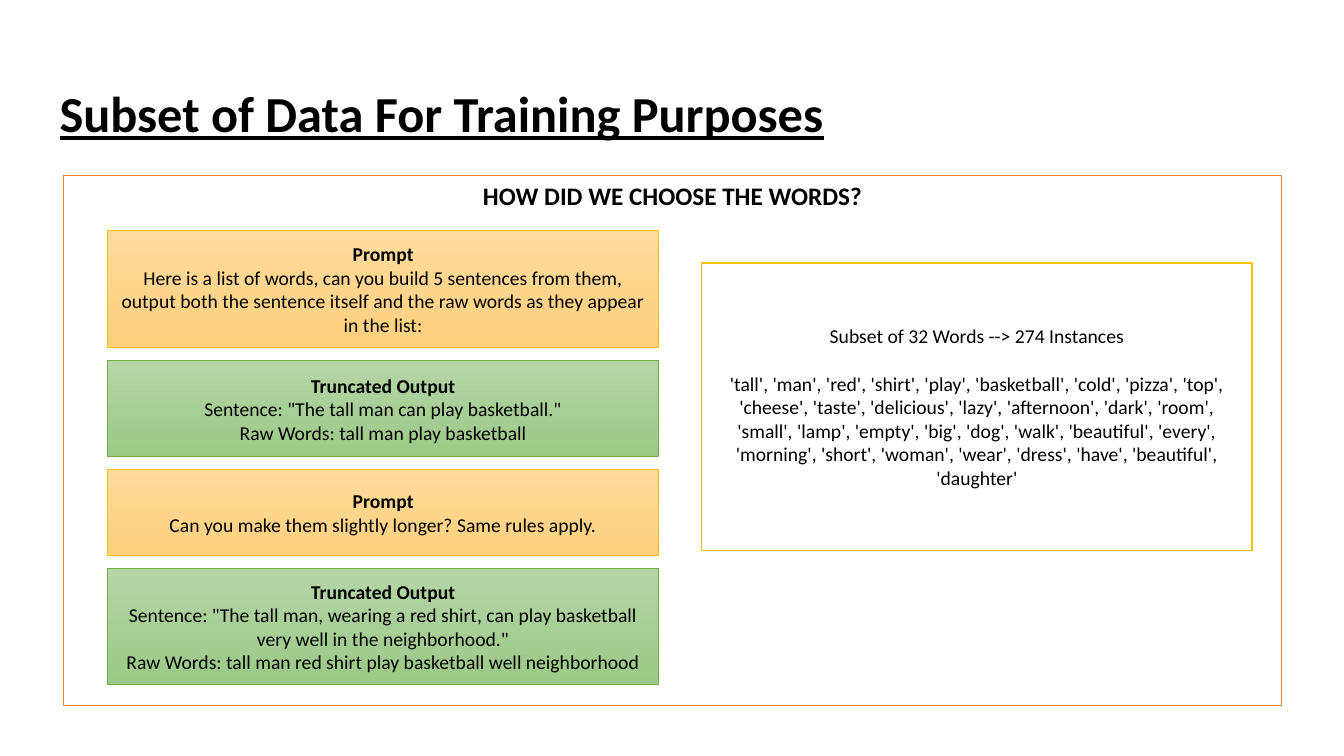
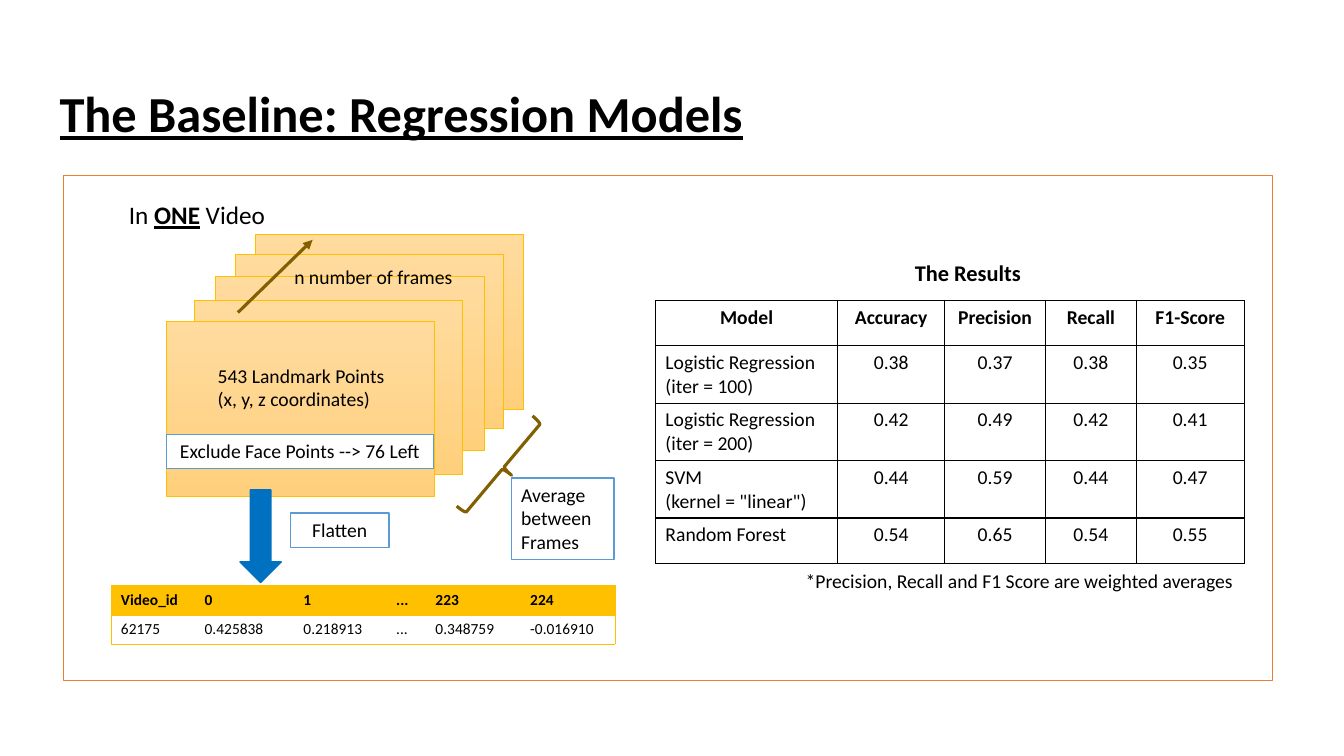
from lxml import etree
from pptx import Presentation, util as u
from pptx.dml.color import RGBColor
from pptx.enum import shapes, text
from pptx.oxml.ns import qn

FONT = "Calibri"
BLACK, WHITE, ORANGE, GOLD = "000000", "FFFFFF", "ED7D31", "FFC000"
BLUE, SKY, BROWN, GREEN = "0070C0", "5B9BD5", "806000", "70AD47"
AMBER_FADE = ("FFDB9E", "FFD07C")
GREEN_FADE = ("B5D5A7", "9CC987")
LEFT, CENTER, RIGHT = text.PP_ALIGN.LEFT, text.PP_ALIGN.CENTER, text.PP_ALIGN.RIGHT
TOP, MIDDLE = text.MSO_ANCHOR.TOP, text.MSO_ANCHOR.MIDDLE
FORMS = shapes.MSO_SHAPE

SUBSET_TITLE = "Subset of Data For Training Purposes"
QUESTION = "HOW DID WE CHOOSE THE WORDS?"
CARDS = [
    (1.16, ["Prompt", "Here is a list of words, can you build 5 sentences from them, "
            "output both the sentence itself and the raw words as they appear in the list:"]),
    (0.95, ["Truncated Output", 'Sentence: "The tall man can play basketball."',
            "Raw Words: tall man play basketball"]),
    (0.85, ["Prompt", "Can you make them slightly longer? Same rules apply."]),
    (1.15, ["Truncated Output", 'Sentence: "The tall man, wearing a red shirt, can play '
            'basketball very well in the neighborhood."',
            "Raw Words: tall man red shirt play basketball well neighborhood"]),
]
CARD_LEFT, CARD_TOP, CARD_WIDTH, CARD_GAP = 1.07, 2.29, 5.46, 0.13
CARD_STYLES = {"Prompt": (AMBER_FADE, GOLD), "Truncated Output": (GREEN_FADE, GREEN)}
WORDS = ("tall man red shirt play basketball cold pizza top cheese taste delicious lazy "
         "afternoon dark room small lamp empty big dog walk beautiful every morning short "
         "woman wear dress have beautiful daughter").split()

BASELINE_TITLE = "The Baseline: Regression Models"
FRAME_CORNERS = [(2.53, 2.33), (2.33, 2.52), (2.14, 2.74), (1.93, 2.98), (1.65, 3.19)]
FRAME_SIZE = (2.66, 1.73)
FLAT_COLUMNS = [0.83, 0.98, 0.92, 0.39, 0.94, 0.94]
FLAT_HEIGHTS = [0.29] * 2
FLAT_ROWS = [
    ("Video_id", "0", "1", "...", "223", "224"),
    ("62175", "0.425838", "0.218913", "...", "0.348759", "-0.016910"),
]
SCORE_COLUMNS = [1.81, 1.06, 1, 0.9, 1.07]
SCORE_HEIGHTS = [0.45, 0.57, 0.57, 0.57, 0.45]
SCORE_ROWS = [
    ("Model", "Accuracy", "Precision", "Recall", "F1-Score"),
    ("Logistic Regression (iter = 100)", "0.38", "0.37", "0.38", "0.35"),
    ("Logistic Regression (iter = 200)", "0.42", "0.49", "0.42", "0.41"),
    ('SVM\n(kernel = "linear")', "0.44", "0.59", "0.44", "0.47"),
    ("Random Forest", "0.54", "0.65", "0.54", "0.55"),
]


def color(code):
    return RGBColor.from_string(code)


def inches(*lengths):
    return [u.Inches(length) for length in lengths]


def style(paragraph, size, align=LEFT, bold=False):
    paragraph.alignment = align
    font = paragraph.font
    font.name, font.size, font.bold = FONT, u.Pt(size), bold
    font.color.rgb = color(BLACK)


def write(frame, lines, size=14, align=LEFT, anchor=TOP, bold=False, heading=False):
    frame.word_wrap = True
    frame.vertical_anchor = anchor
    frame.text = "\n".join(lines)
    for index, paragraph in enumerate(frame.paragraphs):
        style(paragraph, size, align, bold or (heading and index == 0))


def label(slide, box, words, **look):
    frame = slide.shapes.add_textbox(*inches(*box)).text_frame
    write(frame, [words], **look)
    return frame


def block(slide, box, fill=WHITE, line=ORANGE, width=1, form=FORMS.RECTANGLE):
    shape = slide.shapes.add_shape(form, *inches(*box))
    shape.shadow.inherit = False
    shape.line.color.rgb = color(line)
    shape.line.width = u.Pt(width)
    if fill is None:
        shape.fill.background()
    elif isinstance(fill, tuple):
        shape.fill.gradient()
        shape.fill.gradient_angle = 270
        for stop, code in zip(shape.fill.gradient_stops, fill):
            stop.color.rgb = color(code)
    else:
        shape.fill.solid()
        shape.fill.fore_color.rgb = color(fill)
    return shape


def tag(slide, box, words, align=CENTER):
    write(block(slide, box, line=SKY).text_frame, [words], align=align)


def arrow(slide, start, end, line, width):
    connector = slide.shapes.add_connector(
        shapes.MSO_CONNECTOR.STRAIGHT, *inches(*start, *end))
    connector.line.color.rgb = color(line)
    connector.line.width = u.Pt(width)
    properties = connector.line._get_or_add_ln()
    etree.SubElement(properties, qn("a:tailEnd"), type="triangle")
    etree.SubElement(connector._element.spPr, qn("a:effectLst"))


def set_borders(cell, line, width, sides):
    properties = cell._tc.get_or_add_tcPr()
    for side in "LRTB":
        border = etree.SubElement(properties, qn("a:ln" + side), w=str(u.Pt(width)))
        if side in sides:
            fill = etree.SubElement(border, qn("a:solidFill"))
            etree.SubElement(fill, qn("a:srgbClr"), val=line)
        else:
            etree.SubElement(border, qn("a:noFill"))


def add_grid(slide, corner, columns, heights, rows, size, line, width,
             header_fill=None, inner_lines=True, value_align=LEFT):
    table = slide.shapes.add_table(
        len(rows), len(columns), *inches(*corner, sum(columns), sum(heights))).table
    table.first_row = table.horz_banding = False
    for column, length in zip(table.columns, columns):
        column.width = u.Inches(length)
    for r, values in enumerate(rows):
        table.rows[r].height = u.Inches(heights[r])
        for c, value in enumerate(values):
            cell = table.cell(r, c)
            cell.text = value
            align = value_align if r == 0 or c > 0 else LEFT
            for paragraph in cell.text_frame.paragraphs:
                style(paragraph, size, align, r == 0)
            sides = "TB"
            if inner_lines or c == 0:
                sides += "L"
            if inner_lines or c == len(columns) - 1:
                sides += "R"
            set_borders(cell, line, width, sides)
            if header_fill and r == 0:
                cell.fill.solid()
                cell.fill.fore_color.rgb = color(header_fill)
            else:
                cell.fill.background()


def titled_slide(deck, words, panel_size):
    slide = deck.slides.add_slide(deck.slide_layouts[5])
    title = slide.shapes.title
    title.left, title.top, title.width, title.height = inches(0.49, 0.86, 12.21, 0.63)
    write(title.text_frame, [words], size=36, anchor=MIDDLE, bold=True)
    title.text_frame.auto_size = text.MSO_AUTO_SIZE.NONE
    heading = title.text_frame.paragraphs[0]
    heading.font.underline = True
    heading.line_spacing = 0.8
    return slide, block(slide, (0.63, 1.74, *panel_size))


def subset_slide(deck):
    slide, panel = titled_slide(deck, SUBSET_TITLE, (12.08, 5.26))
    write(panel.text_frame, [QUESTION], size=18, align=CENTER, bold=True)
    top = CARD_TOP
    for height, lines in CARDS:
        fade, line = CARD_STYLES[lines[0]]
        card = block(slide, (CARD_LEFT, top, CARD_WIDTH, height), fade, line, 0.5)
        write(card.text_frame, lines, align=CENTER, anchor=MIDDLE, heading=True)
        top += height + CARD_GAP
    subset = block(slide, (6.96, 2.61, 5.46, 2.85), line=GOLD).text_frame
    word_list = ", ".join(f"'{word}'" for word in WORDS)
    write(subset, ["Subset of 32 Words --> 274 Instances", word_list],
          align=CENTER, anchor=MIDDLE)
    subset.paragraphs[1].space_before = u.Pt(17)


def baseline_slide(deck):
    slide, _ = titled_slide(deck, BASELINE_TITLE, (11.99, 5.01))
    video = label(slide, (1.18, 1.93, 1.86, 0.42), "In ", size=18).paragraphs[0]
    emphasis = video.add_run()
    emphasis.text = "ONE"
    emphasis.font.bold = emphasis.font.underline = True
    video.add_run().text = " Video"

    for corner in FRAME_CORNERS:
        block(slide, (*corner, *FRAME_SIZE), AMBER_FADE, GOLD, 0.5)
    arrow(slide, (2.36, 3.1), (3.1, 2.38), BROWN, 2.25)
    label(slide, (2.82, 2.58, 1.85, 0.34), "n number of frames")
    label(slide, (2.06, 3.56, 1.96, 0.57), "543 Landmark Points (x, y, z coordinates)")
    add_grid(slide, (1.1, 5.81), FLAT_COLUMNS, FLAT_HEIGHTS, FLAT_ROWS, 11, GOLD, 0.5,
             header_fill=GOLD, inner_lines=False)

    block(slide, (2.38, 4.86, 0.41, 0.92), BLUE, BLUE, form=FORMS.DOWN_ARROW)
    tag(slide, (5.07, 4.74, 1.02, 0.81), "Average between Frames", LEFT)
    brace = block(slide, (4.88, 4.06, 0.22, 1.17), None, BROWN, 2.25, FORMS.RIGHT_BRACE)
    brace.rotation = 40
    tag(slide, (1.65, 4.31, 2.65, 0.34), "Exclude Face Points --> 76 Left")
    tag(slide, (2.88, 5.09, 0.98, 0.34), "Flatten")

    add_grid(slide, (6.5, 2.98), SCORE_COLUMNS, SCORE_HEIGHTS, SCORE_ROWS, 14, BLACK, 1,
             value_align=CENTER)
    label(slide, (8.67, 2.52, 1.86, 0.37), "The Results", size=16, align=CENTER, bold=True)
    label(slide, (7.63, 5.59, 4.7, 0.34),
          "*Precision, Recall and F1 Score are weighted averages", align=RIGHT)


def main():
    deck = Presentation()
    deck.slide_width, deck.slide_height = inches(13.33, 7.5)
    subset_slide(deck)
    baseline_slide(deck)
    deck.save("out.pptx")


if __name__ == "__main__":
    main()
